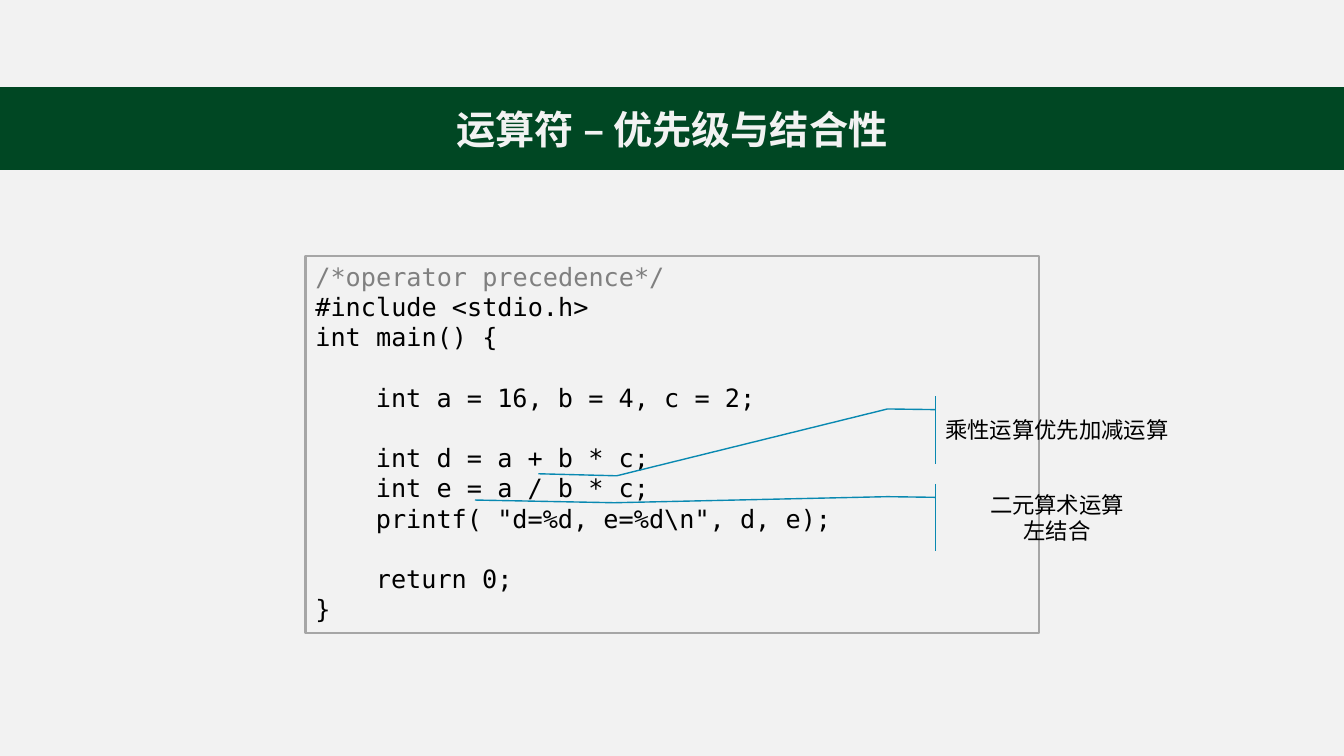
from dataclasses import dataclass

from lxml import etree
from pptx import Presentation
from pptx.dml.color import RGBColor
from pptx.enum.shapes import MSO_SHAPE
from pptx.enum.text import MSO_ANCHOR, MSO_AUTO_SIZE, PP_ALIGN
from pptx.oxml.ns import qn
from pptx.util import Inches, Pt

RECT = MSO_SHAPE.RECTANGLE
CALLOUT = MSO_SHAPE.LINE_CALLOUT_3_ACCENT_BAR
TOP, MIDDLE = MSO_ANCHOR.TOP, MSO_ANCHOR.MIDDLE
LEFT, CENTER = PP_ALIGN.LEFT, PP_ALIGN.CENTER
FIXED = MSO_AUTO_SIZE.NONE

COLORS = {
    "page": "F2F2F2",
    "green": "004723",
    "frame": "A6A6A6",
    "remark": "808080",
    "ink": "000000",
    "blue": "0989B1",
}
MONO, SANS = "DejaVu Sans Mono", "Noto Sans CJK SC"
WIDTH, HEIGHT = Inches(13.33), Inches(7.5)
ROW = Pt(21.6)  # height of one code line
TAB = Inches(0.6)  # one level of code indent


@dataclass
class Box:
    """Place and size in percent of the slide."""
    left: float
    top: float
    width: float
    height: float

    def place(self, shape) -> None:
        shape.left, shape.top, shape.width, shape.height = self.emu()

    def emu(self) -> list[int]:
        shares = (self.left, self.top, self.width, self.height)
        return [round(s * full / 100) for s, full in zip(shares, (WIDTH, HEIGHT) * 2)]


@dataclass
class Line:
    text: str
    level: int = 0
    gap: int = 0  # empty rows above
    color: str = "ink"


@dataclass
class Note:
    top: float
    lines: list[str]
    bend: tuple[float, float]  # last bend: y, x
    tip: tuple[float, float]  # end of the leader: y, x


TITLE = "运算符 – 优先级与结合性"
BANNER = Box(0, 11.6, 100, 10.8)
FRAME = Box(22.73, 33.87, 54.61, 49.87)
CODE = [
    Line("/*operator precedence*/", color="remark"),
    Line("#include <stdio.h>"),
    Line("int main() {"),
    Line("int a = 16, b = 4, c = 2;", 1, 1),
    Line("int d = a + b * c;", 1, 1),
    Line("int e = a / b * c;", 1),
    Line('printf( "d=%d, e=%d\\n", d, e);', 1),
    Line("return 0;", 1, 1),
    Line("}"),
]
NOTES = [
    Note(52.4, ["乘性运算优先加减运算"], (1.18, -1.24), (1.15, -1.55)),
    Note(64, ["二元算术运算", "左结合"], (0.28, -1.25), (0.24, -1.8)),
]


def rgb(name: str) -> RGBColor:
    return RGBColor.from_string(COLORS[name])


def style(para, face: str, size: int, color: str, align, bold: bool = False) -> None:
    para.alignment = align
    font = para.font
    font.size, font.bold, font.name = Pt(size), bold, face
    font.color.rgb = rgb(color)
    base = para._p.pPr.find(qn("a:defRPr"))
    etree.SubElement(base, qn("a:ea")).set("typeface", face)


def fill_text(shape, texts: list[str], anchor) -> list:
    frame = shape.text_frame
    frame.text = "\n".join(texts)
    frame.word_wrap, frame.auto_size = True, FIXED
    frame.vertical_anchor = anchor
    return list(frame.paragraphs)


def outline(slide, kind, box: Box, color: str, weight: float):
    shape = slide.shapes.add_shape(kind, *box.emu())
    shape.shadow.inherit = False
    shape.fill.background()
    shape.line.color.rgb = rgb(color)
    shape.line.width = Pt(weight)
    return shape


def draw_title(slide) -> None:
    title = slide.shapes.title
    BANNER.place(title)
    title.fill.solid()
    title.fill.fore_color.rgb = rgb("green")
    title.line.color.rgb = rgb("green")
    title.line.width = Pt(1)
    for para in fill_text(title, [TITLE], MIDDLE):
        style(para, SANS, 28, "page", CENTER, True)


def draw_code(slide) -> None:
    shape = outline(slide, RECT, FRAME, "frame", 1.5)
    paras = fill_text(shape, [line.text for line in CODE], TOP)
    for para, line in zip(paras, CODE):
        style(para, MONO, 18, line.color, LEFT)
        para.line_spacing = ROW
        para.space_before = Pt(ROW.pt * line.gap)
        para._p.pPr.set("marL", str(TAB * line.level))


def draw_note(slide, note: Note) -> None:
    shape = outline(slide, CALLOUT, Box(69.24, note.top, 18.83, 8.93), "blue", 1)
    points = (0.2, 0.02, 0.19, -0.17, *note.bend, *note.tip)
    for i, value in enumerate(points):
        shape.adjustments[i] = value
    for para in fill_text(shape, note.lines, MIDDLE):
        style(para, SANS, 16, "ink", CENTER)


def main() -> None:
    deck = Presentation()
    deck.slide_width, deck.slide_height = WIDTH, HEIGHT
    slide = deck.slides.add_slide(deck.slide_layouts[5])
    # Page colour
    slide.background.fill.solid()
    slide.background.fill.fore_color.rgb = rgb("page")
    # Banner, code frame and callouts
    draw_title(slide)
    draw_code(slide)
    for note in NOTES:
        draw_note(slide, note)
    deck.save("out.pptx")


if __name__ == "__main__":
    main()
